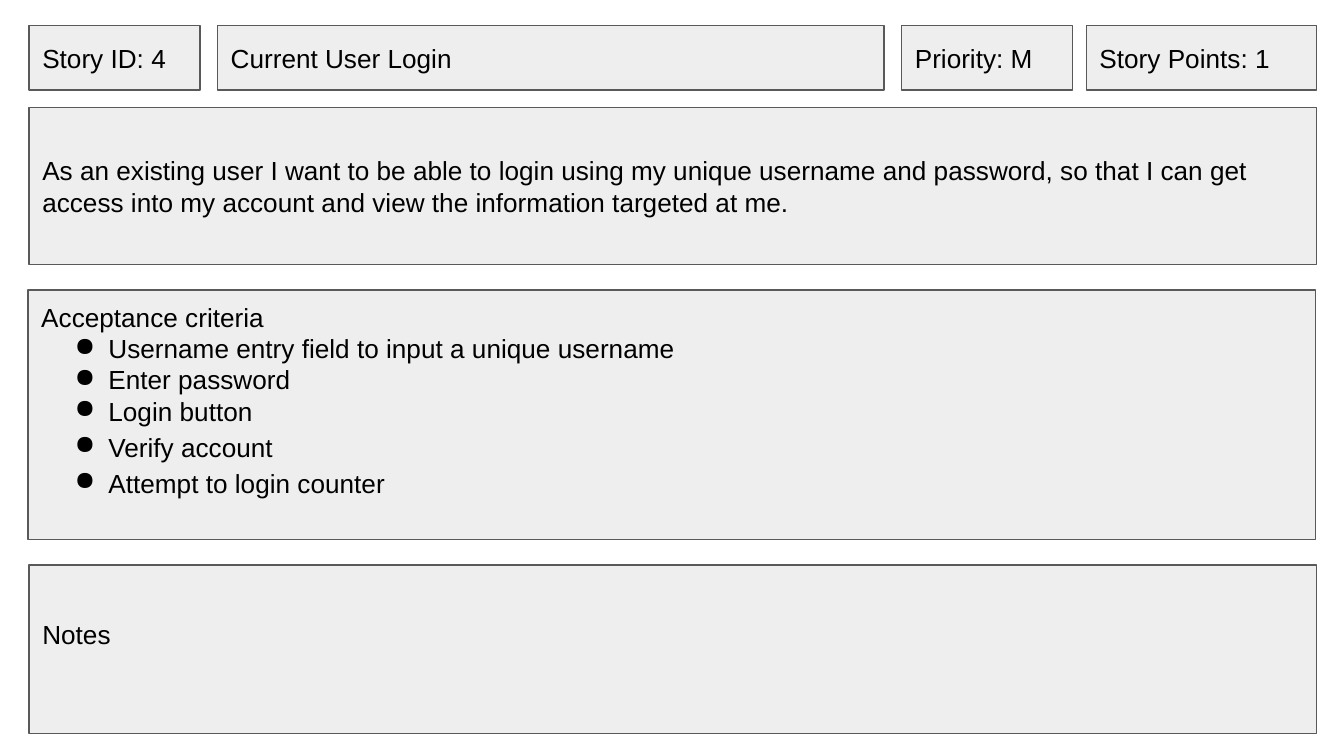
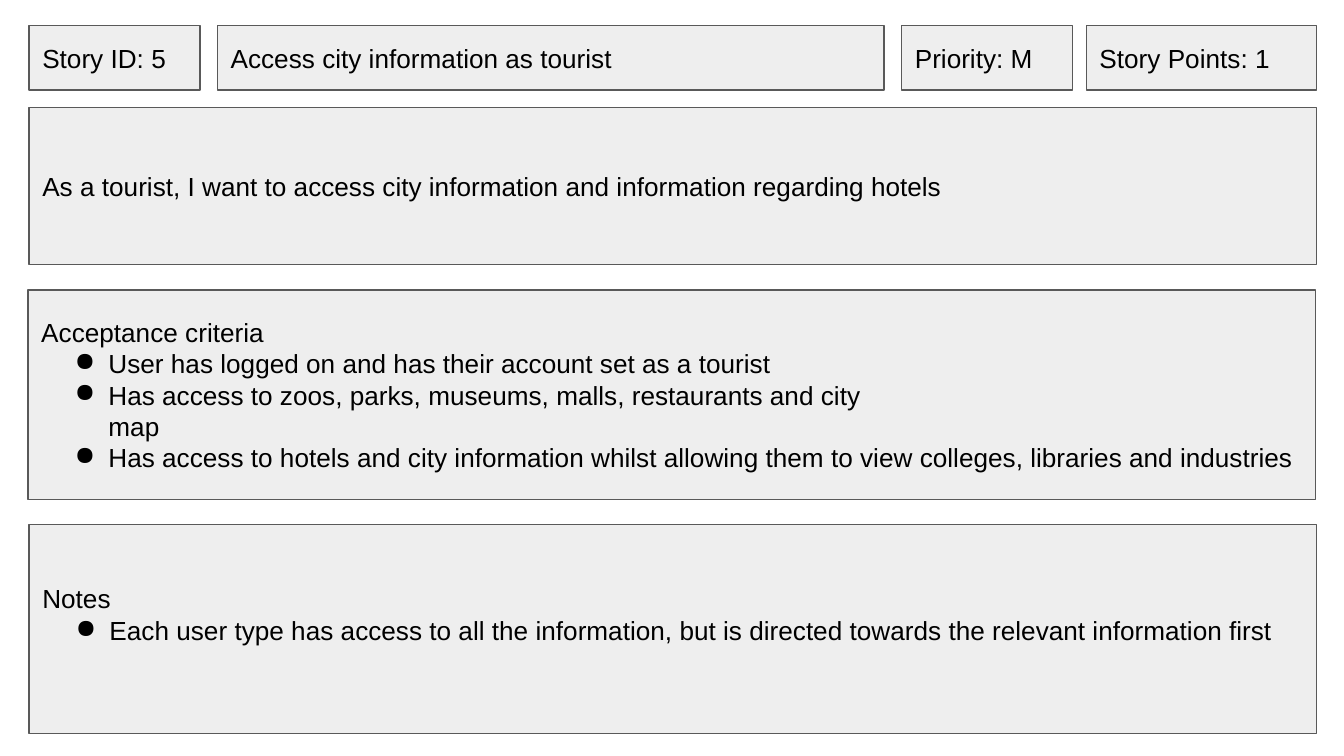
from lxml import etree
from pptx import Presentation
from pptx.dml.color import RGBColor
from pptx.enum.shapes import MSO_SHAPE
from pptx.enum.text import MSO_ANCHOR, PP_ALIGN
from pptx.oxml.ns import qn
from pptx.util import Cm, Pt

RECT = MSO_SHAPE.RECTANGLE
MIDDLE = MSO_ANCHOR.MIDDLE
LEFT = PP_ALIGN.LEFT

# Shared look
FILL, EDGE, INK = "EEEEEE", "595959", "000000"
FONT = {"name": "Arial", "size": Pt(14)}
PAD = 0.25
FRAME = {"word_wrap": True, "vertical_anchor": MIDDLE,
         "margin_left": Cm(PAD), "margin_right": Cm(PAD),
         "margin_top": Cm(PAD), "margin_bottom": Cm(PAD)}
INDENT, HANG = 1.27, 0.64
ROW = 0.57  # height of one text line

# Shared layout, in cm
SIDE, WIDE = 0.55, 24.33
HEAD = (SIDE, 0.48, WIDE, 1.22)
STORY = (SIDE, 2.03, WIDE, 2.97)
GAP, END = 0.48, 13.87
CELLS = [(0, 3.23), (3.56, 12.6), (16.49, 3.23), (19.98, 4.35)]

# loose: how many closing bullets have wider line spacing
# free: whether a spare line is kept at the foot of the criteria
CARDS = [
    {"head": ["Story ID: 4", "Current User Login",
              "Priority: M", "Story Points: 1"],
     "story": "As an existing user I want to be able to login using my "
              "unique username and password, so that I can get access into "
              "my account and view the information targeted at me.",
     "tests": ["Username entry field to input a unique username",
               "Enter password", "Login button", "Verify account",
               "Attempt to login counter"],
     "notes": [], "tall": 4.72, "loose": 2, "free": True},
    {"head": ["Story ID: 5", "Access city information as tourist",
              "Priority: M", "Story Points: 1"],
     "story": "As a tourist, I want to access city information and "
              "information regarding hotels",
     "tests": ["User has logged on and has their account set as a tourist",
               "Has access to zoos, parks, museums, malls, restaurants and "
               "city\nmap",
               "Has access to hotels and city information whilst allowing "
               "them to view colleges, libraries and industries"],
     "notes": ["Each user type has access to all the information, but is "
               "directed towards the relevant information first"],
     "tall": 3.96, "loose": 0, "free": False},
]


def color(code):
    return RGBColor.from_string(code)


def style(part, values):
    for key, value in values.items():
        setattr(part, key, value)


def write(para, text):
    para.text = text
    para.alignment = LEFT
    for run in para.runs:
        style(run.font, FONT)
        run.font.color.rgb = color(INK)


def bullet(para):
    props = para._p.get_or_add_pPr()
    props.set("marL", str(Cm(INDENT)))
    props.set("indent", str(-Cm(HANG)))
    etree.SubElement(props, qn("a:buChar")).set("char", "●")


def panel(slide, box, text, items=(), loose=0, free=False):
    """Grey box with a lead line and optional bullets."""
    shape = slide.shapes.add_shape(RECT, *map(Cm, box))
    shape.shadow.inherit = False
    shape.fill.solid()
    shape.fill.fore_color.rgb = color(FILL)
    shape.line.color.rgb = color(EDGE)
    shape.line.width = Pt(0.75)
    frame = shape.text_frame
    style(frame, FRAME)
    if free:
        frame.margin_bottom = Cm(PAD + ROW)
    write(frame.paragraphs[0], text)
    for spot, item in enumerate(items):
        para = frame.add_paragraph()
        write(para, item)
        bullet(para)
        if spot >= len(items) - loose:
            para.line_spacing = 1.15


def header(slide, box, texts):
    left, top, _, tall = box
    for (shift, wide), text in zip(CELLS, texts):
        panel(slide, (left + shift, top, wide, tall), text)


def card(slide, data):
    # Header and user story
    header(slide, HEAD, data["head"])
    panel(slide, STORY, data["story"])
    # Criteria below the story
    top = STORY[1] + STORY[3] + GAP
    panel(slide, (SIDE - 0.02, top, WIDE, data["tall"]),
          "Acceptance criteria", data["tests"], data["loose"], data["free"])
    # Notes fill the rest
    top += data["tall"] + GAP
    panel(slide, (SIDE, top, WIDE, END - top), "Notes", data["notes"],
          free=True)


def main():
    deck = Presentation()
    style(deck, {"slide_width": Cm(25.4), "slide_height": Cm(14.29)})
    for data in CARDS:
        card(deck.slides.add_slide(deck.slide_layouts[6]), data)
    deck.save("out.pptx")


if __name__ == "__main__":
    main()
